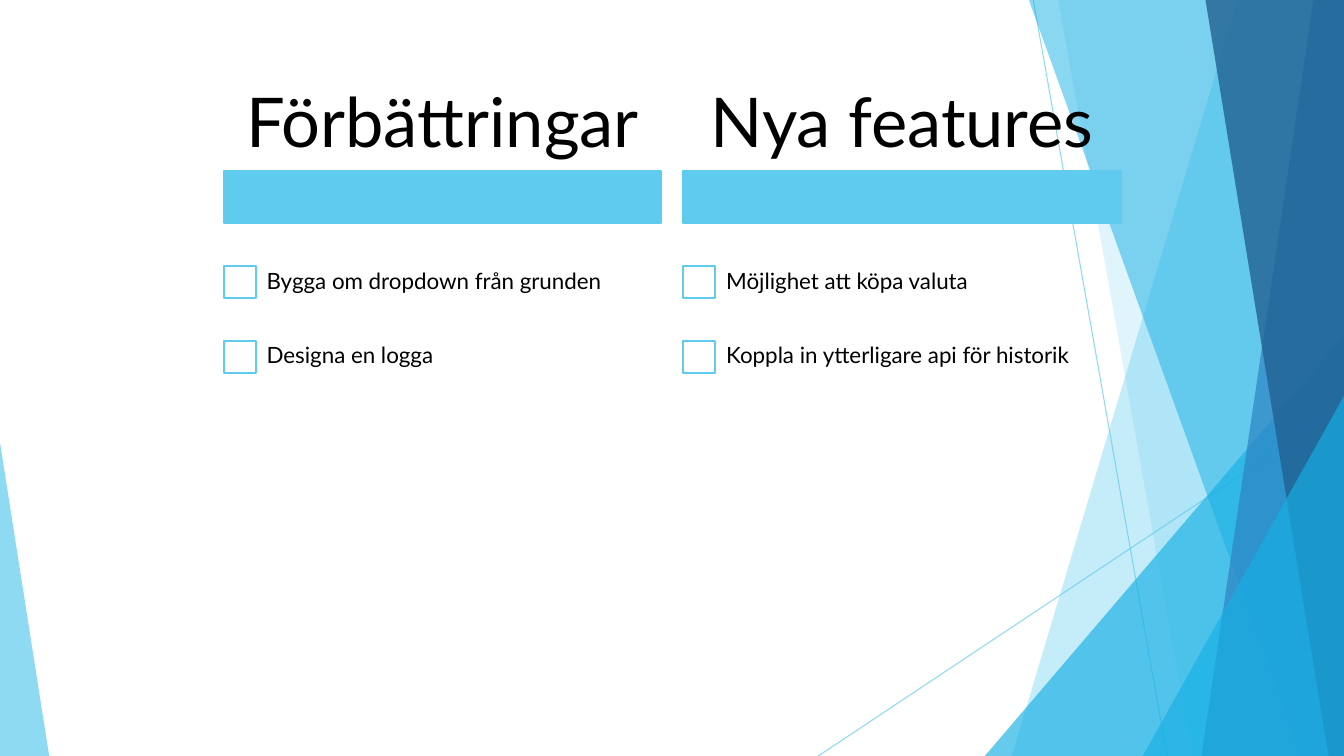
"""Build a slide listing improvements and new features beside a faceted backdrop."""
from dataclasses import dataclass

from lxml import etree
from pptx import Presentation
from pptx.dml.color import RGBColor
from pptx.enum.shapes import MSO_CONNECTOR, MSO_SHAPE
from pptx.enum.text import MSO_ANCHOR, PP_ALIGN
from pptx.oxml.ns import qn
from pptx.util import Cm, Pt

STRAIGHT = MSO_CONNECTOR.STRAIGHT
RECTANGLE = MSO_SHAPE.RECTANGLE
TRIANGLE = MSO_SHAPE.ISOSCELES_TRIANGLE
MIDDLE = MSO_ANCHOR.MIDDLE
LEFT, CENTER = PP_ALIGN.LEFT, PP_ALIGN.CENTER

SLIDE_WIDTH, SLIDE_HEIGHT = 33.87, 19.05
COLUMN_LEFT, COLUMN_STEP, COLUMN_WIDTH = 5.64, 11.58, 11.02
HEADING_TOP, HEADING_HEIGHT = 2, 2.34
BAR_TOP, BAR_HEIGHT = 4.32, 1.3
ITEM_TOP, ITEM_HEIGHT, ITEM_INDENT = 6.17, 1.88, 0.78
BOX_SIZE = 0.81

COLUMNS = {
    "Förbättringar": ["Bygga om dropdown från grunden", "Designa en logga"],
    "Nya features": ["Möjlighet att köpa valuta", "Koppla in ytterligare api för historik"],
}


@dataclass(frozen=True)
class Theme:
    """Colours, font and type sizes of the slide."""
    sky: RGBColor = RGBColor(0x5F, 0xCB, 0xEF)
    cyan: RGBColor = RGBColor(0x17, 0xB0, 0xE4)
    blue: RGBColor = RGBColor(0x2E, 0x83, 0xC3)
    navy: RGBColor = RGBColor(0x22, 0x62, 0x92)
    white: RGBColor = RGBColor(0xFF, 0xFF, 0xFF)
    black: RGBColor = RGBColor(0, 0, 0)
    font: str = "Lato"
    heading_size: int = 49
    item_size: int = 16
    outline: float = 1.5
    hairline: float = 0.75


class SlideBuilder:
    """Draw themed elements on one slide, with lengths in centimetres."""

    def __init__(self, slide, theme):
        """Keep the slide's shapes and the theme."""
        self.shapes = slide.shapes
        self.theme = theme

    def set_opacity(self, shape, percent):
        """Make the colours of a shape partly transparent."""
        for color in shape.element.iter(qn("a:srgbClr")):
            etree.SubElement(color, qn("a:alpha"), val=str(percent * 1000))

    def paint_facet(self, shape, color, opacity):
        """Fill a shape with a translucent colour and no outline."""
        shape.shadow.inherit = False
        shape.fill.solid()
        shape.fill.fore_color.rgb = color
        shape.line.fill.background()
        self.set_opacity(shape, opacity)

    def hairline(self, start, end):
        """Draw a thin translucent line."""
        line = self.shapes.add_connector(STRAIGHT, *map(Cm, start + end))
        line.line.color.rgb = self.theme.sky
        line.line.width = Pt(self.theme.hairline)
        etree.SubElement(line.element.spPr, qn("a:effectLst"))
        self.set_opacity(line, 70)

    def facet(self, top_left, bottom_left, color, opacity):
        """Draw a full-height facet with a slanted left edge."""
        right, bottom = Cm(SLIDE_WIDTH), Cm(SLIDE_HEIGHT)
        outline = self.shapes.build_freeform(Cm(top_left), 0)
        outline.add_line_segments([(right, 0), (right, bottom), (Cm(bottom_left), bottom)])
        self.paint_facet(outline.convert_to_shape(), color, opacity)

    def triangle(self, left, top, width, apex, color, opacity):
        """Draw a triangle that stands on the bottom edge."""
        shape = self.shapes.add_shape(
            TRIANGLE, Cm(left), Cm(top), Cm(width), Cm(SLIDE_HEIGHT - top))
        shape.adjustments[0] = apex
        self.paint_facet(shape, color, opacity)

    def rectangle(self, left, top, width, height, fill):
        """Draw a rectangle with a sky blue outline."""
        shape = self.shapes.add_shape(RECTANGLE, Cm(left), Cm(top), Cm(width), Cm(height))
        shape.shadow.inherit = False
        shape.fill.solid()
        shape.fill.fore_color.rgb = fill
        shape.line.color.rgb = self.theme.sky
        shape.line.width = Pt(self.theme.outline)

    def text(self, text, left, top, width, height, size, alignment, insets):
        """Write one vertically centred paragraph."""
        box = self.shapes.add_textbox(Cm(left), Cm(top), Cm(width), Cm(height))
        frame = box.text_frame
        frame.word_wrap = True
        frame.vertical_anchor = MIDDLE
        frame.margin_left = frame.margin_right = Cm(insets[0])
        frame.margin_top = frame.margin_bottom = Cm(insets[1])
        paragraph = frame.paragraphs[0]
        paragraph.text = text
        paragraph.alignment = alignment
        paragraph.line_spacing = 0.9
        paragraph.font.name = self.theme.font
        paragraph.font.size = Pt(size)
        paragraph.font.color.rgb = self.theme.black

    def backdrop(self):
        """Draw the lines and facets from back to front."""
        theme = self.theme
        self.hairline((26.04, 0), (29.41, SLIDE_HEIGHT))
        self.hairline((SLIDE_WIDTH, 10.24), (20.62, SLIDE_HEIGHT))
        self.facet(31.19, 25.5, theme.sky, 36)
        self.facet(26.67, 30.05, theme.sky, 20)
        self.triangle(24.82, 8.46, 9.05, 1, theme.cyan, 66)
        self.facet(25.93, 32.79, theme.cyan, 50)
        self.facet(33.1, 30.28, theme.blue, 70)
        self.facet(30.38, 33.48, theme.navy, 80)
        self.triangle(28.8, 9.98, 5.07, 1, theme.cyan, 66)
        self.triangle(0, 11.15, 1.24, 0, theme.sky, 70)

    def checklist(self, left, heading, items):
        """Draw a heading, its bar and a checkbox for each item."""
        theme = self.theme
        self.rectangle(left, BAR_TOP, COLUMN_WIDTH, BAR_HEIGHT, theme.sky)
        self.text(heading, left, HEADING_TOP, COLUMN_WIDTH, HEADING_HEIGHT,
                  theme.heading_size, CENTER, (0.25, 0.18))
        for row, item in enumerate(items):
            top = ITEM_TOP + row * ITEM_HEIGHT
            box_top = top + (ITEM_HEIGHT - BOX_SIZE) / 2
            self.rectangle(left, box_top, BOX_SIZE, BOX_SIZE, theme.white)
            self.text(item, left + ITEM_INDENT, top, COLUMN_WIDTH - ITEM_INDENT, ITEM_HEIGHT,
                      theme.item_size, LEFT, (0.3, 0.3))


def main():
    """Build and save the presentation."""
    presentation = Presentation()
    presentation.slide_width = Cm(SLIDE_WIDTH)
    presentation.slide_height = Cm(SLIDE_HEIGHT)
    slide = presentation.slides.add_slide(presentation.slide_layouts[6])
    builder = SlideBuilder(slide, Theme())
    builder.backdrop()
    for index, (heading, items) in enumerate(COLUMNS.items()):
        builder.checklist(COLUMN_LEFT + index * COLUMN_STEP, heading, items)
    presentation.save("out.pptx")


if __name__ == "__main__":
    main()
